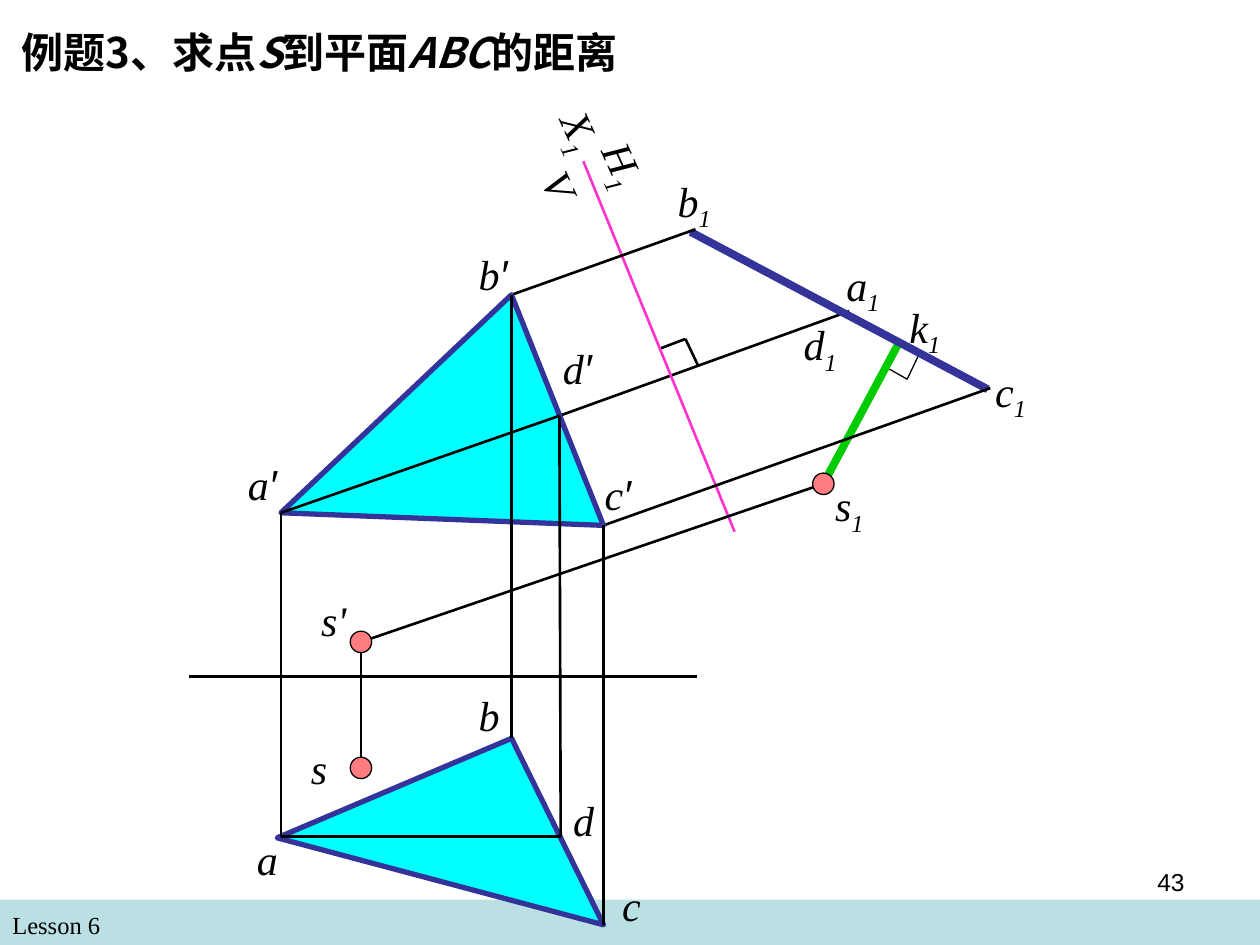
from lxml import etree
from pptx import Presentation
from pptx import util as u
from pptx.dml.color import RGBColor
from pptx.enum import shapes, text
from pptx.oxml import ns

BLACK = RGBColor(0x00, 0x00, 0x00)
NAVY = RGBColor(0x33, 0x33, 0x99)
CYAN = RGBColor(0x00, 0xFF, 0xFF)
GREEN = RGBColor(0x00, 0xCC, 0x00)
PINK = RGBColor(0xFF, 0x33, 0xCC)
CORAL = RGBColor(0xFF, 0x7C, 0x80)
BAND = RGBColor(0xBB, 0xE0, 0xE3)

SERIF, SANS, CHINESE = "Times New Roman", "Arial", "Noto Sans CJK SC"
COLUMNS, ROWS = 100, 75

# Points of the drawing as (column, row): front view, top view, auxiliary view
A_FRONT, B_FRONT, C_FRONT, D_FRONT = (22.3, 40.7), (40.6, 23.4), (47.9, 41.7), (44.4, 33)
A_TOP, B_TOP, C_TOP, D_TOP = (22.3, 66.4), (40.6, 58.6), (47.9, 73.4), (44.5, 66.4)
B_AUX, A_AUX, C_AUX, K_AUX = (54.8, 18.4), (67.4, 24.7), (78.4, 30.9), (71.4, 27.1)
S_FRONT, S_TOP, S_AUX = (28.65, 50.95), (28.65, 60.95), (65.35, 38.4)


def add_span(para, words, font=SERIF, size=24, bold=False, italic=False, base=0):
    span = para.add_run()
    span.text = words
    span.font.name = font
    span.font.size = u.Pt(size)
    span.font.bold = bold
    span.font.italic = italic
    span.font.color.rgb = BLACK
    properties = span.font._element
    etree.SubElement(properties, ns.qn("a:ea")).set("typeface", font)
    if base:
        properties.set("baseline", str(base * 1000))


class Drawing:
    """Holds the slide, its grid and the look of each kind of element."""

    def __init__(self, deck):
        self.page = deck.slides.add_slide(deck.slide_layouts[5])
        self.column = deck.slide_width / COLUMNS
        self.row = deck.slide_height / ROWS

    def place(self, column, row):
        return round(column * self.column), round(row * self.row)

    def line(self, start, end, color=BLACK, width=1.5):
        line = self.page.shapes.add_connector(
            shapes.MSO_CONNECTOR.STRAIGHT, *self.place(*start), *self.place(*end))
        line.line.color.rgb = color
        line.line.width = u.Pt(width)
        etree.SubElement(line._element.spPr, ns.qn("a:effectLst"))

    def paint(self, shape, fill, color=None, width=0.75):
        shape.shadow.inherit = False
        shape.fill.solid()
        shape.fill.fore_color.rgb = fill
        if color is None:
            shape.line.fill.background()
        else:
            shape.line.color.rgb = color
            shape.line.width = u.Pt(width)

    def triangle(self, *corners):
        first, *others = [self.place(*corner) for corner in corners]
        builder = self.page.shapes.build_freeform(*first)
        builder.add_line_segments(others, close=True)
        self.paint(builder.convert_to_shape(), CYAN, NAVY, 3)

    def dot(self, center, size=1.7):
        column, row = center
        dot = self.page.shapes.add_shape(
            shapes.MSO_SHAPE.OVAL, *self.place(column - size / 2, row - size / 2),
            *self.place(size, size))
        self.paint(dot, CORAL, BLACK)

    def band(self, top):
        band = self.page.shapes.add_shape(
            shapes.MSO_SHAPE.RECTANGLE, *self.place(0, top), *self.place(COLUMNS, ROWS - top))
        self.paint(band, BAND)

    def words(self, words, column, row, width, height, align=text.PP_ALIGN.LEFT, **style):
        box = self.page.shapes.add_textbox(*self.place(column, row), *self.place(width, height))
        box.text_frame.word_wrap = True
        para = box.text_frame.paragraphs[0]
        para.alignment = align
        add_span(para, words, **style)
        return box

    def label(self, letter, column, row, width=6, mark="", turn=0):
        """Italic point name; a digit mark is lowered, a prime is not."""
        box = self.words(letter, column, row, width, 5.6 if mark == "1" else 5, italic=True)
        box.rotation = turn
        if mark:
            is_digit = mark.isdigit()
            add_span(box.text_frame.paragraphs[0], mark, font=SERIF if is_digit else SANS,
                     italic=True, base=-25 if is_digit else 0)

    def title(self, spans, column, row, width, height):
        box = self.page.shapes.title
        box.left, box.top = self.place(column, row)
        box.width, box.height = self.place(width, height)
        frame = box.text_frame
        frame.word_wrap = True
        frame.auto_size = text.MSO_AUTO_SIZE.NONE
        frame.vertical_anchor = text.MSO_ANCHOR.TOP
        para = frame.paragraphs[0]
        para.alignment = text.PP_ALIGN.LEFT
        for words, italic in spans:
            add_span(para, words, font=CHINESE, bold=True, italic=italic)


def draw_auxiliary_view(drawing):
    drawing.line(S_AUX, K_AUX, GREEN, 4.5)
    foot = (72, 30.1)
    for end in ((72.9, 28.2), (70.6, 29.3)):
        drawing.line(foot, end, width=0.75)

    drawing.line(D_FRONT, A_AUX)
    corner = (54.4, 26.9)
    for end in ((52.3, 27.7), (55.4, 29)):
        drawing.line(corner, end)
    drawing.line((46.3, 12.8), (58.3, 42.2), PINK)
    drawing.line(B_AUX, C_AUX, NAVY, 4.5)
    drawing.line(B_FRONT, (55.2, 18.2))
    drawing.line(C_FRONT, (78.6, 30.8))
    drawing.line(S_FRONT, S_AUX)
    drawing.dot(S_AUX)

    for letter, column, row, width, mark in (
            ("X", 43.2, 8.1, 5.8, "1"), ("H", 46, 11.3, 7.5, "1"), ("V", 41.3, 14.1, 8.1, "")):
        drawing.label(letter, column, row, width, mark, turn=65.6)
    for letter, column, row in (
            ("k", 71.2, 23.4), ("b", 52.8, 13.4), ("a", 66.2, 20.1),
            ("c", 78, 28.5), ("d", 62.8, 24.8), ("s", 65.3, 37.6)):
        drawing.label(letter, column, row, mark="1")


def draw_main_views(drawing):
    drawing.line((15, 53.7), (55.3, 53.7))
    drawing.triangle(A_FRONT, C_FRONT, B_FRONT)
    drawing.triangle((22, 66.5), B_TOP, C_TOP)
    for front, top in ((A_FRONT, A_TOP), (B_FRONT, B_TOP), (C_FRONT, C_TOP), (D_FRONT, D_TOP),
                       (A_FRONT, D_FRONT), (A_TOP, D_TOP)):
        drawing.line(front, top)
    drawing.line(S_FRONT, S_TOP, width=0.75)
    drawing.dot(S_TOP)
    drawing.dot(S_FRONT)

    for letter, column, row, mark in (
            ("a", 18.7, 35.9, "′"), ("b", 37, 19.2, "′"), ("c", 47, 36.7, "′"),
            ("d", 43.7, 26.7, "′"), ("a", 19.4, 65.7, ""), ("b", 37, 54.2, ""),
            ("c", 48.4, 69.3, ""), ("d", 44.5, 62.6, ""), ("s", 23.7, 58.4, "")):
        drawing.label(letter, column, row, mark=mark)
    drawing.label("s'", 24.5, 46.7)


def main():
    deck = Presentation()
    deck.slide_width, deck.slide_height = u.Inches(10), u.Inches(7.5)
    drawing = Drawing(deck)
    drawing.title((("例题3、求点", False), ("S", True), ("到平面", False),
                   ("ABC", True), ("的距离", False)), 0.7, 1.6, 51.8, 5)
    drawing.band(71.4)
    drawing.words("Lesson 6", 0, 71.7, 48.3, 3.3, size=14)
    draw_auxiliary_view(drawing)
    draw_main_views(drawing)
    drawing.words("43", 71.7, 68.3, 23.3, 5.2, text.PP_ALIGN.RIGHT, font=SANS, size=14)
    deck.save("out.pptx")


if __name__ == "__main__":
    main()
